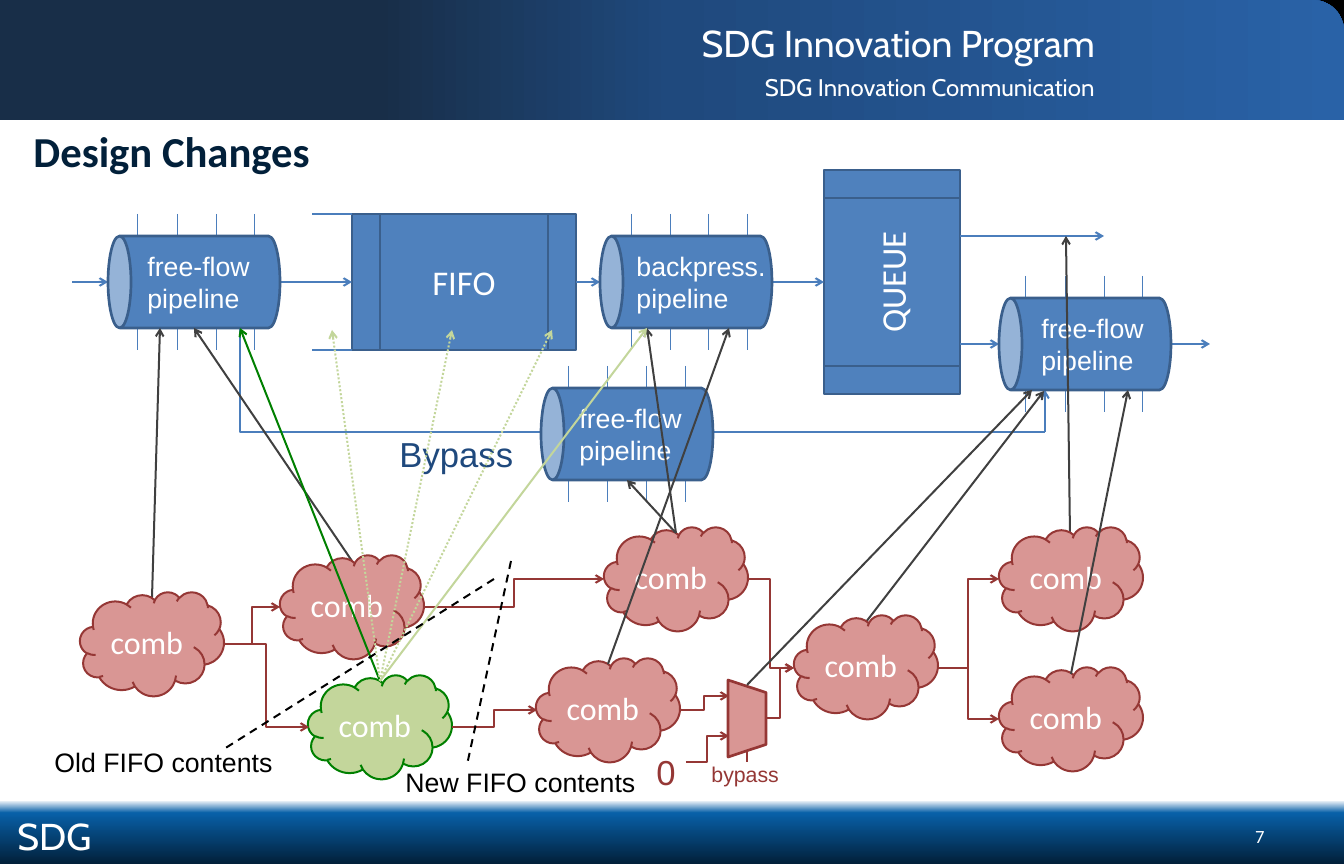
from copy import deepcopy
from dataclasses import dataclass

from pptx import Presentation
from pptx.dml.color import RGBColor
from pptx.enum.dml import MSO_LINE
from pptx.enum.shapes import MSO_CONNECTOR, MSO_SHAPE
from pptx.enum.text import MSO_ANCHOR, MSO_AUTO_SIZE, PP_ALIGN
from pptx.oxml.ns import qn
from pptx.util import Pt
from lxml.etree import SubElement

PX = 9525
COLORS = {
    "white": "FFFFFF", "black": "000000", "navy": "02203A", "ocean": "0860A8",
    "slate": "182E48", "royal": "1F497D", "sky": "2962A7",
    "block": "4F81BD", "block_edge": "3A5F8C", "wire": "4B7EBC",
    "rose": "D99694", "maroon": "953735", "lime": "C3D69B", "green": "008000",
    "dark": "404040",
}


@dataclass
class Box:
    left: int
    top: int
    width: int
    height: int

    def inner(self, left, top, width, height):
        return Box(self.left + left, self.top + top, width, height)

    def emu(self):
        return [round(v * PX) for v in (self.left, self.top, self.width, self.height)]


def color(name):
    return RGBColor.from_string(COLORS[name])


def write(shape, text, size, ink, font, align=PP_ALIGN.LEFT, anchor=MSO_ANCHOR.TOP, bold=False):
    frame = shape.text_frame
    frame.text = text
    frame.vertical_anchor = anchor
    for para in frame.paragraphs:
        para.alignment = align
        para.font.size = Pt(size)
        para.font.name = font
        para.font.bold = bold
        para.font.color.rgb = color(ink)
    return frame


def add_text(page, box, text, size, ink, font, wrap=True, **layout):
    frame = write(page.shapes.add_textbox(*box.emu()), text, size, ink, font, **layout)
    frame.word_wrap = wrap
    if not wrap:
        frame.auto_size = MSO_AUTO_SIZE.SHAPE_TO_FIT_TEXT


def add_block(page, kind, box, fill, edge=None, weight=2, turn=0):
    if turn:
        shift = (box.width - box.height) / 2
        box = box.inner(shift, -shift, box.height, box.width)
    shape = page.shapes.add_shape(kind, *box.emu())
    shape.shadow.inherit = False
    shape.rotation = turn
    if isinstance(fill, str):
        shape.fill.solid()
        shape.fill.fore_color.rgb = color(fill)
    else:
        shape.fill.gradient()
        stops = shape._element.spPr.find(".//" + qn("a:gsLst"))
        stops.append(deepcopy(stops[0]))
        for stop, (position, name) in zip(shape.fill.gradient_stops, fill):
            stop.position = position
            stop.color.rgb = color(name)
    if edge:
        shape.line.color.rgb = color(edge)
        shape.line.width = Pt(weight)
    else:
        shape.line.fill.background()
    return shape


def add_line(page, box, ends, ink, arrow=True, weight=1.5, dash=None, kind=MSO_CONNECTOR.STRAIGHT):
    x1, y1, x2, y2 = ends
    points = (box.left + x1, box.top + y1, box.left + x2, box.top + y2)
    line = page.shapes.add_connector(kind, *[value * PX for value in points])
    line.line.color.rgb = color(ink)
    line.line.width = Pt(weight)
    if dash:
        line.line.dash_style = dash
    if arrow:
        SubElement(line.get_or_add_ln(), qn("a:tailEnd"), type="arrow")
    SubElement(line._element.spPr, qn("a:effectLst"))
    return line


def draw_header(page, box):
    band = add_block(page, MSO_SHAPE.ROUND_1_RECTANGLE, box,
                     [(0.28, "slate"), (0.5, "royal"), (1, "sky")])
    band.adjustments[0] = 0.26
    band.fill.gradient_angle = 0
    for text, top, height, size in (("SDG Innovation Program", 10, 65, 28),
                                    ("SDG Innovation Communication", 67, 40, 18)):
        add_text(page, box.inner(336, top, 768, height), text, size, "white", "Cabin",
                 align=PP_ALIGN.RIGHT, anchor=MSO_ANCHOR.MIDDLE)


def draw_footer(page, box):
    band = add_block(page, MSO_SHAPE.RECTANGLE, box,
                     [(0, "navy"), (0.8, "ocean"), (1, "white")])
    band.fill.gradient_angle = 90
    add_text(page, box.inner(1211, 20, 63, 33), "7", 14, "white", "Calibri", align=PP_ALIGN.RIGHT)
    add_text(page, box.inner(8, 8, 144, 56), "SDG", 28, "white", "Cabin", anchor=MSO_ANCHOR.MIDDLE)


def draw_pipeline(page, box, name, tick_left, text_left):
    for index in range(4):
        x = tick_left + 39 * index
        add_line(page, box, (x, -22, x, 114), "wire", arrow=False, weight=0.75)
    add_block(page, MSO_SHAPE.CAN, box, "block", "block_edge", turn=270)
    width = 123 if name == "free-flow" else 150
    add_text(page, box.inner(text_left, 9, width, 74), name + "\npipeline", 20, "white", "Arial",
             wrap=False)


def draw_datapath(page, box):
    bypass = add_line(page, box, (1045, 312, 240, 208), "wire", arrow=False,
                      kind=MSO_CONNECTOR.ELBOW)
    bypass._element.spPr.find(qn("a:prstGeom")).set("prst", "bentConnector2")
    add_text(page, box.inner(390, 308, 134, 52), "Bypass", 26, "royal", "Arial", wrap=False)

    centred = {"align": PP_ALIGN.CENTER, "anchor": MSO_ANCHOR.MIDDLE}
    process = MSO_SHAPE.FLOWCHART_PREDEFINED_PROCESS
    fifo = add_block(page, process, box.inner(352, 94, 224, 136), "block", "block_edge")
    write(fifo, "FIFO", 26, "white", "Calibri", **centred)
    queue = add_block(page, process, box.inner(824, 50, 136, 224), "block", "block_edge", turn=270)
    write(queue, "QUEUE", 26, "white", "Calibri", **centred)
    for y in (94, 230):
        add_line(page, box, (352, y, 312, y), "wire", arrow=False)

    add_line(page, box, (280, 162, 352, 162), "wire").end_connect(fifo, 1)
    add_line(page, box, (576, 162, 600, 162), "wire").begin_connect(fifo, 3)
    for ends in ((72, 162, 108, 162), (772, 162, 824, 162), (960, 224, 999, 224),
                 (1171, 224, 1210, 224), (960, 116, 1104, 116), (1045, 312, 1045, 270)):
        add_line(page, box, ends, "wire")

    for left, top, name, tick_left, text_left in (
            (108, 116, "free-flow", 30, 30), (600, 116, "backpress.", 31, 27),
            (999, 178, "free-flow", 27, 33), (541, 268, "free-flow", 28, 29)):
        draw_pipeline(page, box.inner(left, top, 172, 92), name, tick_left, text_left)


def draw_control(page, box):
    for ends in ((152, 478, 160, 208), (352, 441, 194, 208),
                 (1070, 413, 1066, 116), (866, 502, 1044, 271)):
        add_line(page, box, ends, "dark")

    red, lime = ("rose", "maroon"), ("lime", "green")
    for left, top, (fill, edge) in (
            (80, 472, red), (280, 435, red), (536, 538, red), (604, 407, red),
            (999, 407, red), (794, 495, red), (308, 555, lime), (999, 547, red)):
        cloud = add_block(page, MSO_SHAPE.CLOUD, box.inner(left, top, 144, 104), fill, edge, 1.5)
        write(cloud, "comb", 24, "white", "Calibri", align=PP_ALIGN.CENTER,
              anchor=MSO_ANCHOR.MIDDLE)

    mux = add_block(page, MSO_SHAPE.TRAPEZOID, box.inner(728, 560, 38, 77), "rose", "maroon",
                    turn=90)
    mux.adjustments[0] = 0.33
    for ends in ((224, 524, 309, 607), (224, 524, 280, 487), (424, 487, 604, 459),
                 (452, 607, 537, 590), (680, 590, 729, 576), (747, 459, 794, 548),
                 (938, 548, 999, 459), (938, 548, 999, 599), (686, 642, 729, 616),
                 (766, 598, 794, 548)):
        add_line(page, box, ends, "maroon", kind=MSO_CONNECTOR.ELBOW)
    add_line(page, box, (747, 631, 747, 642), "maroon", arrow=False)
    add_text(page, box.inner(647, 626, 33, 52), "0", 26, "maroon", "Arial")
    add_text(page, box.inner(702, 636, 87, 36), "bypass", 16, "maroon", "Arial", wrap=False)


def draw_mapping(page, box):
    for ends, ink in (
            ((676, 413, 647, 208), "dark"), ((676, 413, 627, 360), "dark"),
            ((380, 561, 647, 208), "lime"), ((608, 544, 729, 208), "dark"),
            ((747, 565, 1032, 270), "dark"), ((380, 561, 240, 208), "green"),
            ((1071, 554, 1128, 270), "dark")):
        add_line(page, box, ends, ink)
    for x in (552, 452, 332):
        add_line(page, box, (380, 561, x, 210), "lime", dash=MSO_LINE.ROUND_DOT)
    for ends in ((494, 459, 224, 629), (511, 441, 467, 645)):
        add_line(page, box, ends, "black", arrow=False, dash=MSO_LINE.DASH)
    for text, left, top, width in (("Old FIFO contents", 45, 621, 239),
                                   ("New FIFO contents", 396, 641, 252)):
        add_text(page, box.inner(left, top, width, 42), text, 20, "black", "Arial", wrap=False)


def main():
    deck = Presentation()
    deck.slide_width, deck.slide_height = 1344 * PX, 864 * PX
    page = deck.slides.add_slide(deck.slide_layouts[6])
    whole = Box(0, 0, 1344, 864)
    body = whole.inner(0, 120, 1344, 680)
    add_block(page, MSO_SHAPE.RECTANGLE, whole, "black")
    sheet = add_block(page, MSO_SHAPE.ROUND_1_RECTANGLE, whole, "white")
    sheet.adjustments[0] = 0.04
    draw_footer(page, whole.inner(0, 800, 1344, 64))
    draw_header(page, whole.inner(0, 0, 1344, 120))
    add_text(page, body.inner(24, 0, 1288, 64), "Design Changes", 32, "navy", "Calibri", bold=True)
    draw_datapath(page, body)
    draw_control(page, body)
    draw_mapping(page, body)
    deck.save("out.pptx")


if __name__ == "__main__":
    main()
